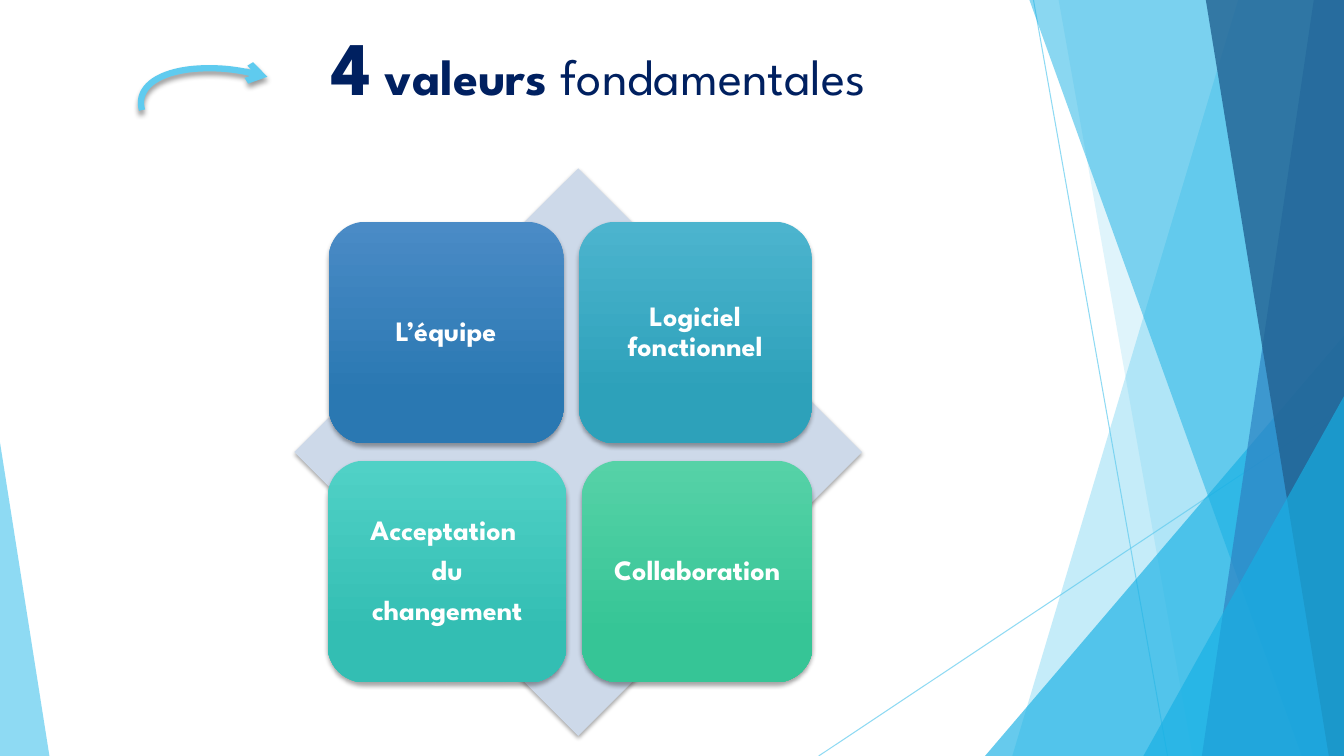
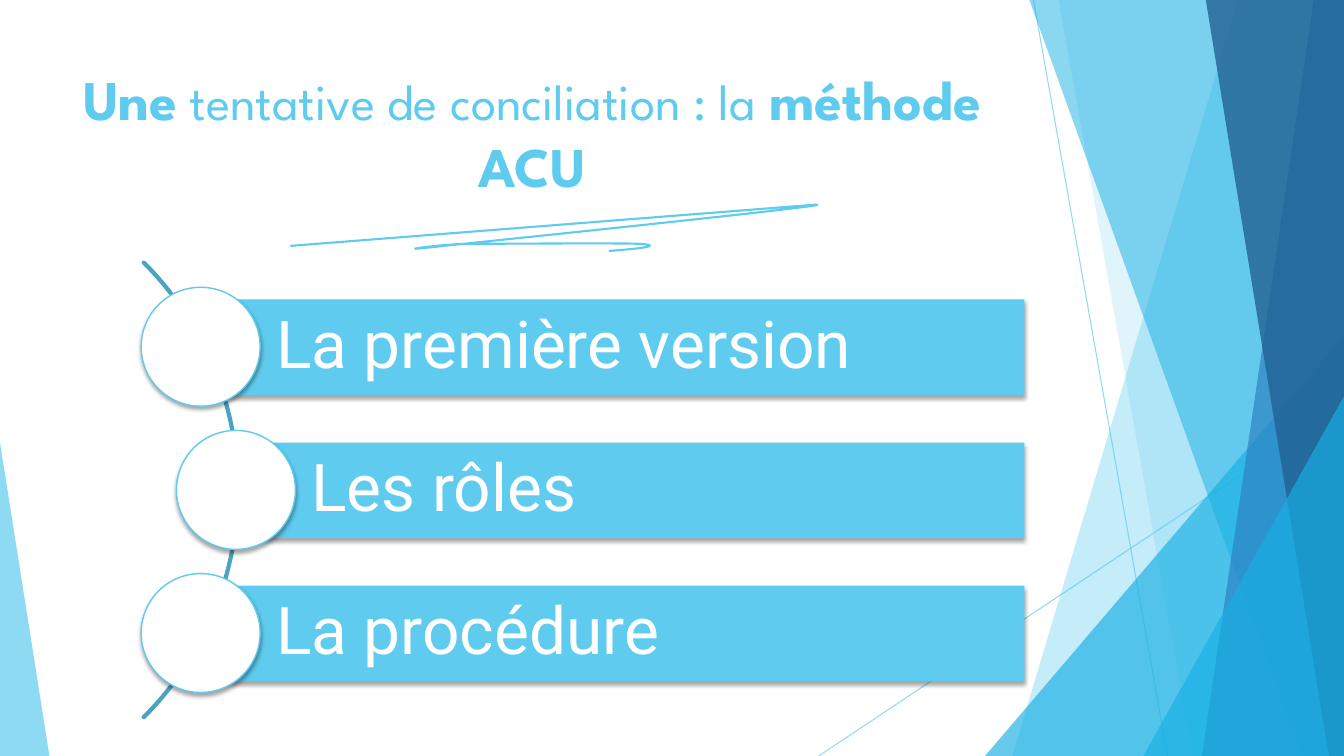
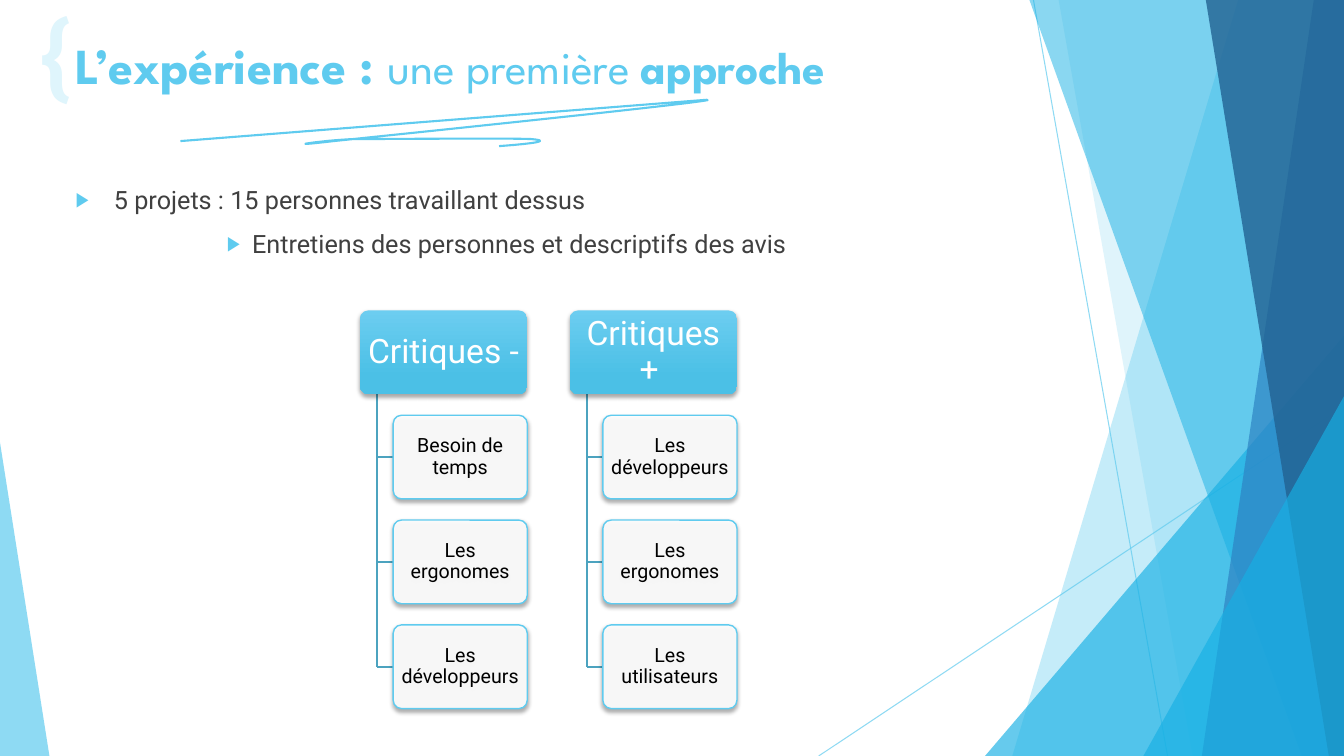
"""Build three slides on values, method and experience."""
from lxml.etree import SubElement
from pptx import Presentation
from pptx.dml.color import RGBColor
from pptx.enum.shapes import MSO_CONNECTOR as Link, MSO_SHAPE as Preset
from pptx.enum.text import MSO_ANCHOR as Anchor, MSO_AUTO_SIZE as AutoSize, PP_ALIGN as Align
from pptx.oxml.ns import qn
from pptx.util import Inches, Pt

SKY = RGBColor(0x5F, 0xCB, 0xEF)
AZURE = RGBColor(0x17, 0xB0, 0xE4)
BLUE = RGBColor(0x2E, 0x83, 0xC3)
DEEP = RGBColor(0x22, 0x62, 0x92)
TEAL = RGBColor(0x4C, 0xA3, 0xBF)
NAVY = RGBColor(0x00, 0x20, 0x60)
MIST = RGBColor(0xCD, 0xD9, 0xE9)
FROST = RGBColor(0xDF, 0xF5, 0xFC)
GREY = RGBColor(0x40, 0x40, 0x40)
WHITE = RGBColor(0xFF, 0xFF, 0xFF)
BLACK = RGBColor(0x00, 0x00, 0x00)
SKY_FADE = (RGBColor(0x6C, 0xCD, 0xF0), RGBColor(0x4B, 0xC0, 0xE6))
BLUE_FADE = (RGBColor(0x4A, 0x8B, 0xC6), RGBColor(0x2A, 0x78, 0xB2))
CYAN_FADE = (RGBColor(0x4C, 0xB4, 0xCE), RGBColor(0x2D, 0xA1, 0xBA))
AQUA_FADE = (RGBColor(0x50, 0xD1, 0xC6), RGBColor(0x33, 0xBE, 0xB3))
GREEN_FADE = (RGBColor(0x56, 0xD2, 0xA7), RGBColor(0x36, 0xC5, 0x96))

DISPLAY, TEXT = "League Spartan", "Roboto"
WIDTH, HEIGHT = 13.33, 7.5


def lengths(*values):
    """Turn numbers of inches into lengths."""
    return [Inches(value) for value in values]


def set_alpha(parent, percent):
    """Make the solid fill held by an element partly transparent."""
    colour = parent.find(f"{qn('a:solidFill')}/{qn('a:srgbClr')}")
    SubElement(colour, qn("a:alpha"), val=str(percent * 1000))


def add_shadow(shape, alpha=35, blur=3, distance=2):
    """Drop a soft black shadow below a shape."""
    effects = shape.element.spPr.find(qn("a:effectLst"))
    shadow = SubElement(effects, qn("a:outerShdw"), blurRad=str(Pt(blur)),
                        dist=str(Pt(distance)), dir="5400000", rotWithShape="0")
    colour = SubElement(shadow, qn("a:srgbClr"), val=str(BLACK))
    SubElement(colour, qn("a:alpha"), val=str(alpha * 1000))


def paint(shape, fill=None, alpha=None, line=None, weight=1):
    """Give a shape its flat, faded or absent fill and its outline."""
    shape.shadow.inherit = False
    if fill is None:
        shape.fill.background()
    elif isinstance(fill, RGBColor):
        shape.fill.solid()
        shape.fill.fore_color.rgb = fill
    else:
        shape.fill.gradient()
        shape.fill.gradient_angle = 270
        for stop, colour, position in zip(shape.fill.gradient_stops, fill, (0, 0.78)):
            stop.color.rgb = colour
            stop.position = position
    if alpha:
        set_alpha(shape.element.spPr, alpha)
    if line is None:
        shape.line.fill.background()
    else:
        shape.line.color.rgb = line
        shape.line.width = Pt(weight)
    return shape


def add_preset(page, preset, area, adjust=(), **look):
    """Add a painted preset shape."""
    shape = page.shapes.add_shape(preset, *lengths(*area))
    for index, value in enumerate(adjust):
        shape.adjustments[index] = value
    return paint(shape, **look)


def add_outline(page, points, closed, **look):
    """Add a painted freeform through points given in inches."""
    start, *others = [lengths(*point) for point in points]
    builder = page.shapes.build_freeform(*start)
    builder.add_line_segments(others, close=closed)
    return paint(builder.convert_to_shape(), **look)


def add_line(page, start, end, colour, weight, alpha=None):
    """Add a straight line without shadow."""
    line = page.shapes.add_connector(Link.STRAIGHT, *lengths(*start, *end))
    line.line.color.rgb = colour
    line.line.width = Pt(weight)
    properties = line.element.spPr
    if alpha:
        set_alpha(properties.find(qn("a:ln")), alpha)
    SubElement(properties, qn("a:effectLst"))


def add_span(para, text, size, colour, font=TEXT, bold=False):
    """Add one formatted run to a paragraph."""
    span = para.add_run()
    span.text = text
    span.font.size = Pt(size)
    span.font.name = font
    span.font.bold = bold
    span.font.color.rgb = colour


def set_frame(frame, anchor=Anchor.TOP, margins=(0.1, 0.05, 0.1, 0.05)):
    """Set wrapping, anchor and margins of a text frame."""
    frame.word_wrap = True
    frame.auto_size = AutoSize.NONE
    frame.vertical_anchor = anchor
    (frame.margin_left, frame.margin_top,
     frame.margin_right, frame.margin_bottom) = lengths(*margins)


def add_label(shape, lines, size, colour, margins, align=Align.CENTER, **style):
    """Write tight, vertically centred lines inside a shape."""
    frame = shape.text_frame
    set_frame(frame, Anchor.MIDDLE, margins)
    for index, text in enumerate(lines):
        para = frame.add_paragraph() if index else frame.paragraphs[0]
        para.alignment = align
        para.line_spacing = 0.9
        para.space_after = Pt(size * 0.35)
        add_span(para, text, size, colour, **style)


def place(shape, area):
    """Move and size a placeholder."""
    shape.left, shape.top, shape.width, shape.height = lengths(*area)
    set_frame(shape.text_frame)


def set_title(page, area, colour, spans, align=Align.CENTER):
    """Fill the title placeholder with (text, size, bold) spans."""
    place(page.shapes.title, area)
    para = page.shapes.title.text_frame.paragraphs[0]
    para.alignment = align
    for text, size, bold in spans:
        add_span(para, text, size, colour, DISPLAY, bold)


def set_bullet(para, indent, hanging):
    """Give a paragraph a sky blue arrow bullet."""
    properties = para._p.get_or_add_pPr()
    properties.set("marL", str(Inches(indent)))
    properties.set("indent", str(-Inches(hanging)))
    colour = SubElement(properties, qn("a:buClr"))
    SubElement(colour, qn("a:srgbClr"), val=str(SKY))
    SubElement(properties, qn("a:buSzPct"), val="80000")
    SubElement(properties, qn("a:buChar"), char="▶")


def add_band(page, top, bottom, colour, alpha):
    """Add a band from a slanted left edge to the right slide edge."""
    points = [(top, 0), (WIDTH, 0), (WIDTH, HEIGHT), (bottom, HEIGHT)]
    add_outline(page, points, True, fill=colour, alpha=alpha)


def add_wedge(page, left, top, width, peak, colour, alpha):
    """Add a triangle standing on the bottom slide edge."""
    add_preset(page, Preset.ISOSCELES_TRIANGLE, (left, top, width, HEIGHT - top),
               [peak], fill=colour, alpha=alpha)


def decorate_master(deck, page):
    """Draw the facets on a page and hand them to the slide master."""
    add_line(page, (10.25, 0), (11.58, HEIGHT), SKY, 0.75, 70)
    add_line(page, (WIDTH, 4.03), (8.12, HEIGHT), SKY, 0.75, 70)
    add_band(page, 12.28, 10.04, SKY, 36)
    add_band(page, 10.5, 11.83, SKY, 20)
    add_wedge(page, 9.77, 3.33, 3.56, 1, AZURE, 66)
    add_band(page, 10.21, 12.91, AZURE, 50)
    add_band(page, 13.03, 11.92, BLUE, 70)
    add_band(page, 11.96, 13.18, DEEP, 80)
    add_wedge(page, 11.34, 3.93, 1.99, 1, AZURE, 66)
    add_wedge(page, 0, 4.39, 0.49, 0, SKY, 70)
    tree = deck.slide_master.element.cSld.spTree
    facets = [shape for shape in page.shapes if not shape.is_placeholder]
    for number, facet in enumerate(facets, 100):
        facet.element.xpath(".//p:cNvPr")[0].set("id", str(number))
        tree.append(facet.element)


def curve(start, first, second, end, steps=16):
    """List points along a cubic curve, without its start."""
    points = []
    for step in range(1, steps + 1):
        t = step / steps
        weights = ((1 - t) ** 3, 3 * t * (1 - t) ** 2, 3 * t * t * (1 - t), t ** 3)
        points.append([sum(w * point[axis] for w, point in
                           zip(weights, (start, first, second, end))) for axis in (0, 1)])
    return points


def add_scribble(page, left, top):
    """Add the hand-drawn underline below a title."""
    points = [(0, 0.41), (5.22, 0)]
    bends = [((5.48, 0), (2.1, 0.35), (1.52, 0.41)),
             ((0.93, 0.48), (1.4, 0.4), (1.73, 0.39)),
             ((2.05, 0.39), (3.24, 0.38), (3.48, 0.39)),
             ((3.71, 0.41), (3.44, 0.44), (3.16, 0.46))]
    for bend in bends:
        points += curve(points[-1], *bend)
    add_outline(page, [(left + x, top + y) for x, y in points], False, line=SKY, weight=1.5)


def build_values(page):
    """Fill the slide of the four values."""
    set_title(page, (1.3, 0.15, 9.4, 1.07), NAVY,
              [("4", 54, True), (" valeurs ", 36, True), ("fondamentales ", 36, False)])
    add_shadow(add_preset(page, Preset.DIAMOND, (2.92, 1.67, 5.63, 5.63), fill=MIST))
    cards = [(3.26, 2.2, 2.33, BLUE_FADE, ["L’équipe"]),
             (5.74, 2.2, 2.31, CYAN_FADE, ["Logiciel fonctionnel"]),
             (3.25, 4.57, 2.37, AQUA_FADE, ["Acceptation ", "du", "changement"]),
             (5.77, 4.57, 2.29, GREEN_FADE, ["Collaboration"])]
    for left, top, width, fade, lines in cards:
        card = add_preset(page, Preset.ROUNDED_RECTANGLE, (left, top, width, 2.2), fill=fade)
        add_shadow(card)
        add_label(card, lines, 20, WHITE, [0.08] * 4, font=DISPLAY, bold=True)
    arrow = add_preset(page, Preset.ARC, (1.96, 0.14, 0.98, 2.15), (157.98, 6.42),
                       line=SKY, weight=4.5)
    arrow.rotation = 283.4
    SubElement(arrow.element.spPr.find(qn("a:ln")), qn("a:tailEnd"), type="arrow")
    add_shadow(arrow, 40, 4, 3)


def build_method(page):
    """Fill the slide of the method and its three parts."""
    set_title(page, (0.58, 0.59, 9.4, 1.44), SKY,
              [("Une", 40, True), (" tentative de conciliation : la ", 36, False),
               ("méthode ACU", 40, True)])
    add_scribble(page, 2.88, 2.03)
    add_preset(page, Preset.BLOCK_ARC, (-4.02, 1.67, 6.38, 6.38), (189, 27, 0),
               line=TEAL, weight=3)
    parts = [(1.99, "La première version"), (2.34, "Les rôles"), (1.99, "La procédure")]
    for index, (left, text) in enumerate(parts):
        top = 2.97 + 1.42 * index
        bar = add_preset(page, Preset.RECTANGLE, (left, top, 10.16 - left, 0.95), fill=SKY)
        add_shadow(bar)
        add_label(bar, [text], 47, WHITE, (0.75, 0.13, 0.13, 0.13), Align.LEFT)
        add_shadow(add_preset(page, Preset.OVAL, (left - 0.59, top - 0.12, 1.18, 1.18),
                              fill=WHITE, line=SKY))


def add_branch(page, left, heading, items):
    """Add a heading card with its linked items below."""
    top, height, pitch = 3.08, 0.83, 1.04
    trunk, item_left = left + 0.17, left + 0.33
    middles = [top + pitch * (index + 1) + height / 2 for index in range(len(items))]
    add_line(page, (trunk, top + height), (trunk, middles[-1]), TEAL, 1.5)
    head = add_preset(page, Preset.ROUNDED_RECTANGLE, (left, top, 1.66, height), [0.1],
                      fill=SKY_FADE)
    add_shadow(head)
    add_label(head, [heading], 24, WHITE, (0.05, 0.03, 0.05, 0.03))
    for middle, text in zip(middles, items):
        add_line(page, (trunk, middle), (item_left, middle), TEAL, 1.5)
        item = add_preset(page, Preset.ROUNDED_RECTANGLE,
                          (item_left, middle - height / 2, 1.33, height), [0.1],
                          fill=WHITE, alpha=90, line=SKY)
        add_shadow(item)
        add_label(item, [text], 14, BLACK, (0.03, 0.02, 0.03, 0.02))


def build_experience(page):
    """Fill the slide of the experience and its feedback."""
    set_title(page, (0.65, 0.29, 9.4, 0.8), SKY,
              [("L’expérience : ", 36, True), ("une première ", 32.4, False),
               ("approche", 32.4, True)], Align.LEFT)
    body = page.placeholders[1]
    place(body, (0.65, 1.78, 9.4, 0.85))
    points = [("5 projets : 15 personnes travaillant dessus", 0, 0.38, 0.38),
              ("Entretiens des personnes et descriptifs des avis", 3, 1.75, 0.25)]
    for index, (text, level, indent, hanging) in enumerate(points):
        para = body.text_frame.add_paragraph() if index else body.text_frame.paragraphs[0]
        set_bullet(para, indent, hanging)
        para.level = level
        para.space_before = Pt(10 if index else 0)
        add_span(para, text, 18, GREY)
    add_branch(page, 3.57, "Critiques -",
               ["Besoin de temps", "Les ergonomes", "Les développeurs"])
    add_branch(page, 5.65, "Critiques + ",
               ["Les développeurs", "Les ergonomes", "Les utilisateurs"])
    brace = page.shapes.add_textbox(*lengths(0, -0.09, 1.11, 1.21))
    set_frame(brace.text_frame)
    para = brace.text_frame.paragraphs[0]
    para.alignment = Align.CENTER
    add_span(para, "{", 66, FROST, bold=True)
    add_scribble(page, 1.79, 0.99)


def main():
    """Build and save the deck."""
    deck = Presentation()
    deck.slide_width, deck.slide_height = lengths(WIDTH, HEIGHT)
    content, title_only = deck.slide_layouts[1], deck.slide_layouts[5]
    builders = [(title_only, build_values), (title_only, build_method),
                (content, build_experience)]
    pages = [deck.slides.add_slide(layout) for layout, _ in builders]
    decorate_master(deck, pages[0])
    for page, (_, build) in zip(pages, builders):
        build(page)
    deck.save("out.pptx")


if __name__ == "__main__":
    main()
